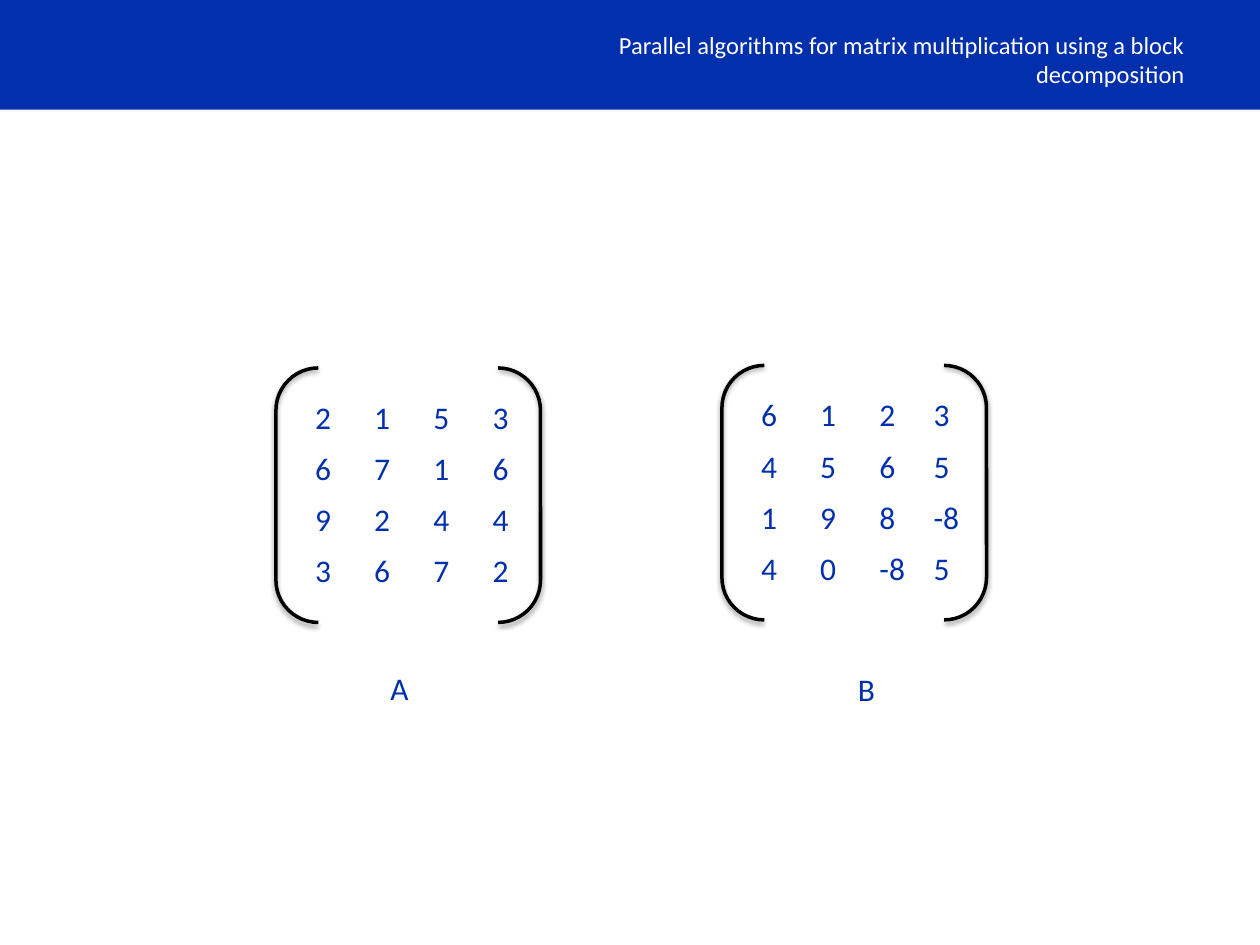
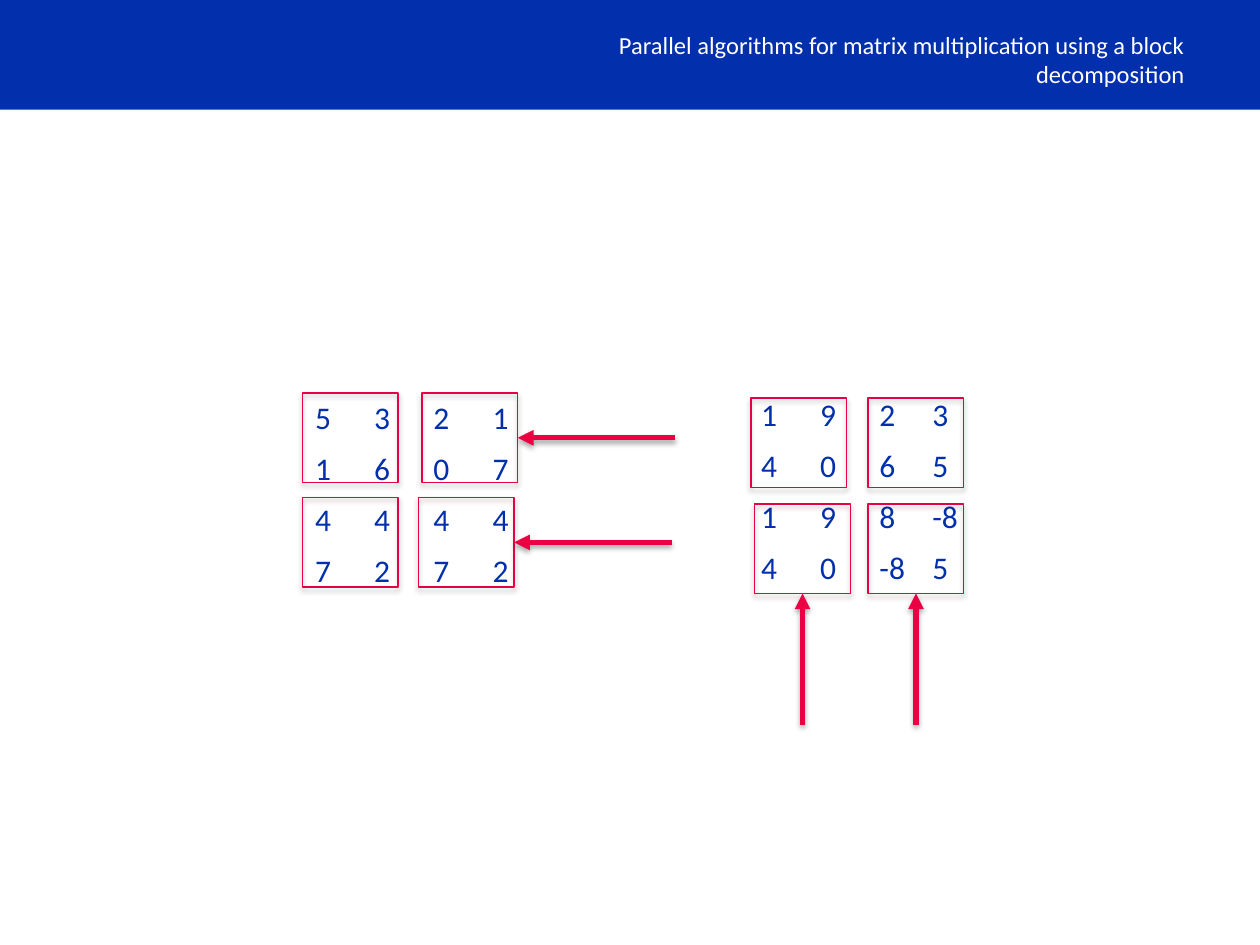
from dataclasses import dataclass

from lxml import etree
from pptx import Presentation
from pptx.dml.color import RGBColor
from pptx.enum.shapes import MSO_CONNECTOR, MSO_SHAPE
from pptx.enum.text import MSO_ANCHOR, MSO_AUTO_SIZE, PP_ALIGN
from pptx.oxml.ns import qn
from pptx.shapes.autoshape import Shape
from pptx.slide import Slide
from pptx.util import Inches, Pt

RECT = MSO_SHAPE.RECTANGLE
BRACKET = MSO_SHAPE.DOUBLE_BRACKET
STRAIGHT = MSO_CONNECTOR.STRAIGHT
LEFT, RIGHT = PP_ALIGN.LEFT, PP_ALIGN.RIGHT
TOP, MIDDLE = MSO_ANCHOR.TOP, MSO_ANCHOR.MIDDLE
GROW = MSO_AUTO_SIZE.SHAPE_TO_FIT_TEXT
BOTTOM_SIDE, RIGHT_SIDE = 2, 3  # connection sites of a rectangle
BARE_GRID = "{2D5ABB26-0587-4C30-8999-92F81FD0307C}"  # no style, no grid


@dataclass(frozen=True)
class Theme:
    font: str = "Calibri"
    blue: RGBColor = RGBColor(0x02, 0x30, 0xAC)
    white: RGBColor = RGBColor(0xFF, 0xFF, 0xFF)
    black: RGBColor = RGBColor(0, 0, 0)
    red: RGBColor = RGBColor(0xE7, 0x00, 0x43)
    rose: RGBColor = RGBColor(0xEC, 0x00, 0x44)
    title: int = 14
    body: int = 18


THEME = Theme()
TITLE = "Parallel algorithms for matrix multiplication using a block decomposition"
ROW = 0.405
BLOCK_W, BLOCK_H = 0.76, 0.71


@dataclass(frozen=True)
class Matrix:
    left: float
    top: float
    cols: tuple[float, ...]
    rows: tuple[str, ...]


@dataclass(frozen=True)
class Label:
    text: str
    left: float
    top: float


@dataclass(frozen=True)
class Block:
    left: float
    top: float


@dataclass(frozen=True)
class Arrow:
    block: int
    side: int
    size: float


EVEN = (0.47,) * 4

# Slide 1: the two factors
FACTORS = (
    Matrix(2.4, 3.12, EVEN, ("2 1 5 3", "6 7 1 6", "9 2 4 4", "3 6 7 2")),
    Matrix(5.94, 3.1, (0.47, 0.47, 0.43, 0.51),
           ("6 1 2 3", "4 5 6 5", "1 9 8 -8", "4 0 -8 5")),
)
LABELS = (Label("A", 3, 5.26), Label("B", 6.71, 5.27))

# Slide 2: the factors after the shift, cut into blocks
SHIFTED = (
    Matrix(2.4, 3.12, EVEN, ("5 3 2 1", "1 6 0 7", "4 4 4 4", "7 2 7 2")),
    Matrix(5.94, 3.1, (0.47, 0.47, 0.42, 0.53),
           ("1 9 2 3", "4 0 6 5", "1 9 8 -8", "4 0 -8 5")),
)
BLOCKS = (
    Block(2.4, 3.12), Block(3.35, 3.12), Block(2.4, 3.95), Block(3.32, 3.95),
    Block(5.96, 3.16), Block(6.89, 3.16), Block(5.99, 4), Block(6.89, 4),
)
ARROWS = (
    Arrow(3, RIGHT_SIDE, 1.25), Arrow(6, BOTTOM_SIDE, 1.04),
    Arrow(1, RIGHT_SIDE, 1.25), Arrow(7, BOTTOM_SIDE, 1.04),
)


def add_run(para, text: str, size: int, color: RGBColor) -> None:
    run = para.add_run()
    run.text = text
    run.font.name = THEME.font
    run.font.size = Pt(size)
    run.font.color.rgb = color


def add_shadow(shape, alpha: int, dist: float) -> None:
    """Cast a soft shadow straight down; call after the line is set."""
    props = shape._element.spPr
    for old in props.findall(qn("a:effectLst")):
        props.remove(old)
    effects = etree.SubElement(props, qn("a:effectLst"))
    cast = etree.SubElement(effects, qn("a:outerShdw"), blurRad=str(Pt(3.1)),
                            dist=str(Pt(dist)), dir="5400000", rotWithShape="0")
    tint = etree.SubElement(cast, qn("a:srgbClr"), val=str(THEME.black))
    etree.SubElement(tint, qn("a:alpha"), val=str(alpha * 1000))


def add_frame(slide: Slide, kind, left: float, top: float, width: float,
              height: float, color: RGBColor, weight: float) -> Shape:
    frame = slide.shapes.add_shape(kind, Inches(left), Inches(top),
                                   Inches(width), Inches(height))
    frame.fill.background()
    frame.line.color.rgb = color
    frame.line.width = Pt(weight)
    return frame


def add_text(slide: Slide, text: str, left: float, top: float, width: float,
             size: int, color: RGBColor, align=LEFT, anchor=TOP,
             wrap: bool = True) -> None:
    box = slide.shapes.add_textbox(Inches(left), Inches(top), Inches(width), Inches(0.4))
    frame = box.text_frame
    frame.word_wrap = wrap
    frame.vertical_anchor = anchor
    if not wrap:
        frame.auto_size = GROW
    para = frame.paragraphs[0]
    para.alignment = align
    add_run(para, text, size, color)


def add_band(slide: Slide) -> None:
    band = slide.shapes.add_shape(RECT, 0, 0, Inches(10), Inches(0.87))
    band.shadow.inherit = False
    band.fill.solid()
    band.fill.fore_color.rgb = THEME.blue
    band.line.fill.background()


def add_title(slide: Slide) -> None:
    add_text(slide, TITLE, 4.41, 0.27, 5.09, THEME.title, THEME.white, RIGHT, MIDDLE)


def add_matrix(slide: Slide, item: Matrix) -> None:
    count = len(item.rows)
    holder = slide.shapes.add_table(
        count, len(item.cols), Inches(item.left), Inches(item.top),
        Inches(sum(item.cols)), Inches(ROW * count))
    table = holder.table
    table.first_row = table.horz_banding = False
    table._tbl.tblPr.find(qn("a:tableStyleId")).text = BARE_GRID
    for col, width in zip(table.columns, item.cols):
        col.width = Inches(width)
    for row, values in zip(table.rows, item.rows):
        row.height = Inches(ROW)
        for cell, value in zip(row.cells, values.split()):
            cell.fill.background()
            add_run(cell.text_frame.paragraphs[0], value, THEME.body, THEME.blue)


def add_bracket(slide: Slide, item: Matrix) -> None:
    pair = add_frame(slide, BRACKET, item.left - 0.21, item.top - 0.2,
                     2.1, 2.02, THEME.black, 2)
    add_shadow(pair, 38, 1.6)


def add_block(slide: Slide, item: Block) -> Shape:
    block = add_frame(slide, RECT, item.left, item.top, BLOCK_W, BLOCK_H,
                      THEME.red, 0.75)
    add_shadow(block, 35, 1.8)
    return block


def add_arrow(slide: Slide, item: Arrow, block: Shape) -> None:
    """Point at the middle of one side of a block."""
    size = Inches(item.size)
    if item.side == RIGHT_SIDE:
        end_x, end_y = block.left + block.width, block.top + block.height // 2
        start_x, start_y = end_x + size, end_y
    else:
        end_x, end_y = block.left + block.width // 2, block.top + block.height
        start_x, start_y = end_x, end_y + size
    arrow = slide.shapes.add_connector(STRAIGHT, start_x, start_y, end_x, end_y)
    arrow.end_connect(block, item.side)
    arrow.line.color.rgb = THEME.rose
    arrow.line.width = Pt(3)
    line = arrow._element.spPr.find(qn("a:ln"))
    etree.SubElement(line, qn("a:tailEnd"), type="triangle")
    add_shadow(arrow, 35, 1.8)


def draw_factors(slide: Slide) -> None:
    for item in FACTORS:
        add_matrix(slide, item)
        add_bracket(slide, item)
    for label in LABELS:
        add_text(slide, label.text, label.left, label.top, 0.35,
                 THEME.body, THEME.blue, wrap=False)


def draw_blocks(slide: Slide) -> None:
    for item in SHIFTED:
        add_matrix(slide, item)
    blocks = [add_block(slide, item) for item in BLOCKS]
    for arrow in ARROWS:
        add_arrow(slide, arrow, blocks[arrow.block])


def main() -> None:
    deck = Presentation()
    deck.slide_width, deck.slide_height = Inches(10), Inches(7.5)
    blank = deck.slide_layouts[6]
    for draw in (draw_factors, draw_blocks):
        slide = deck.slides.add_slide(blank)
        add_band(slide)
        draw(slide)
        add_title(slide)
    deck.save("out.pptx")


if __name__ == "__main__":
    main()
